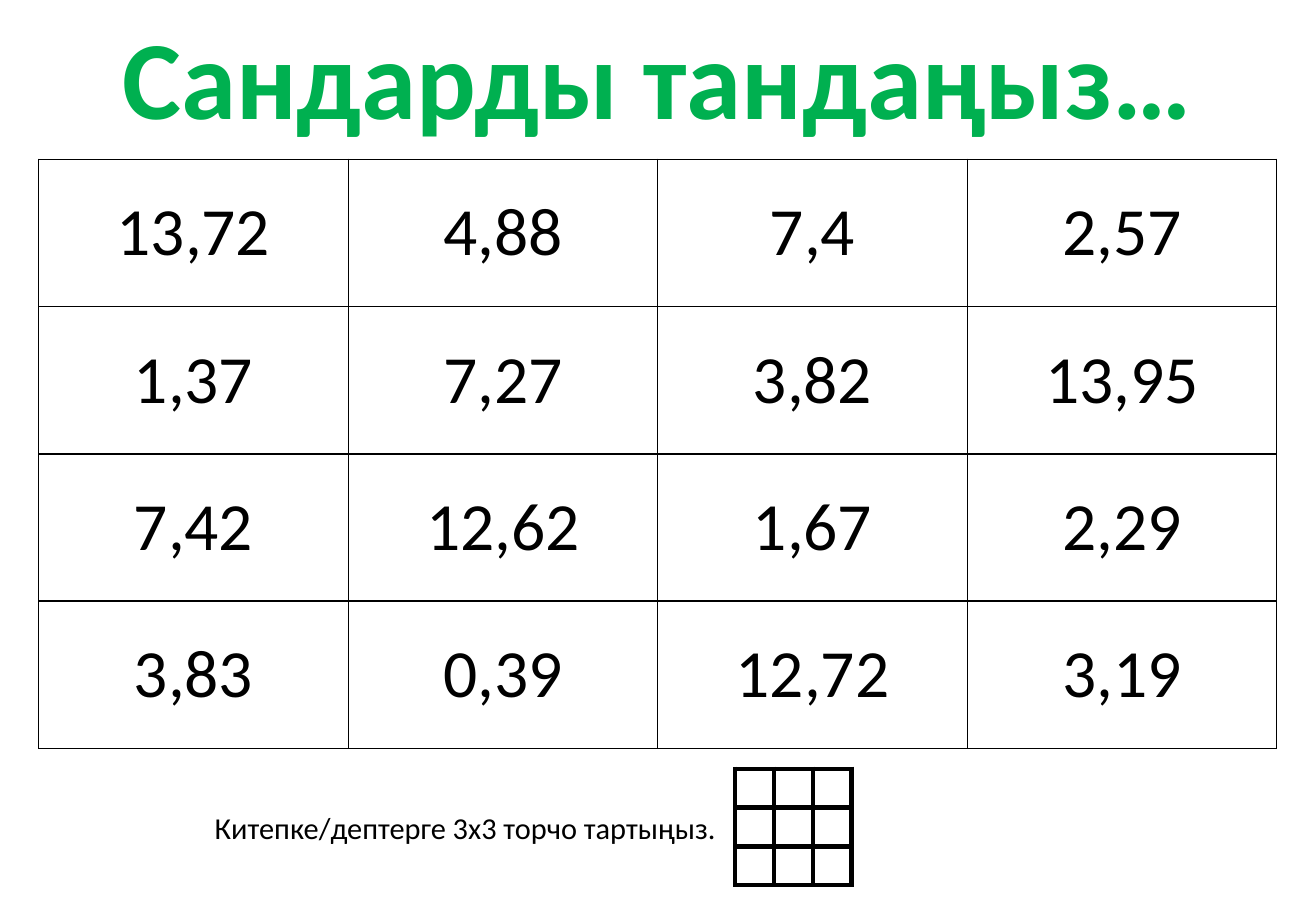
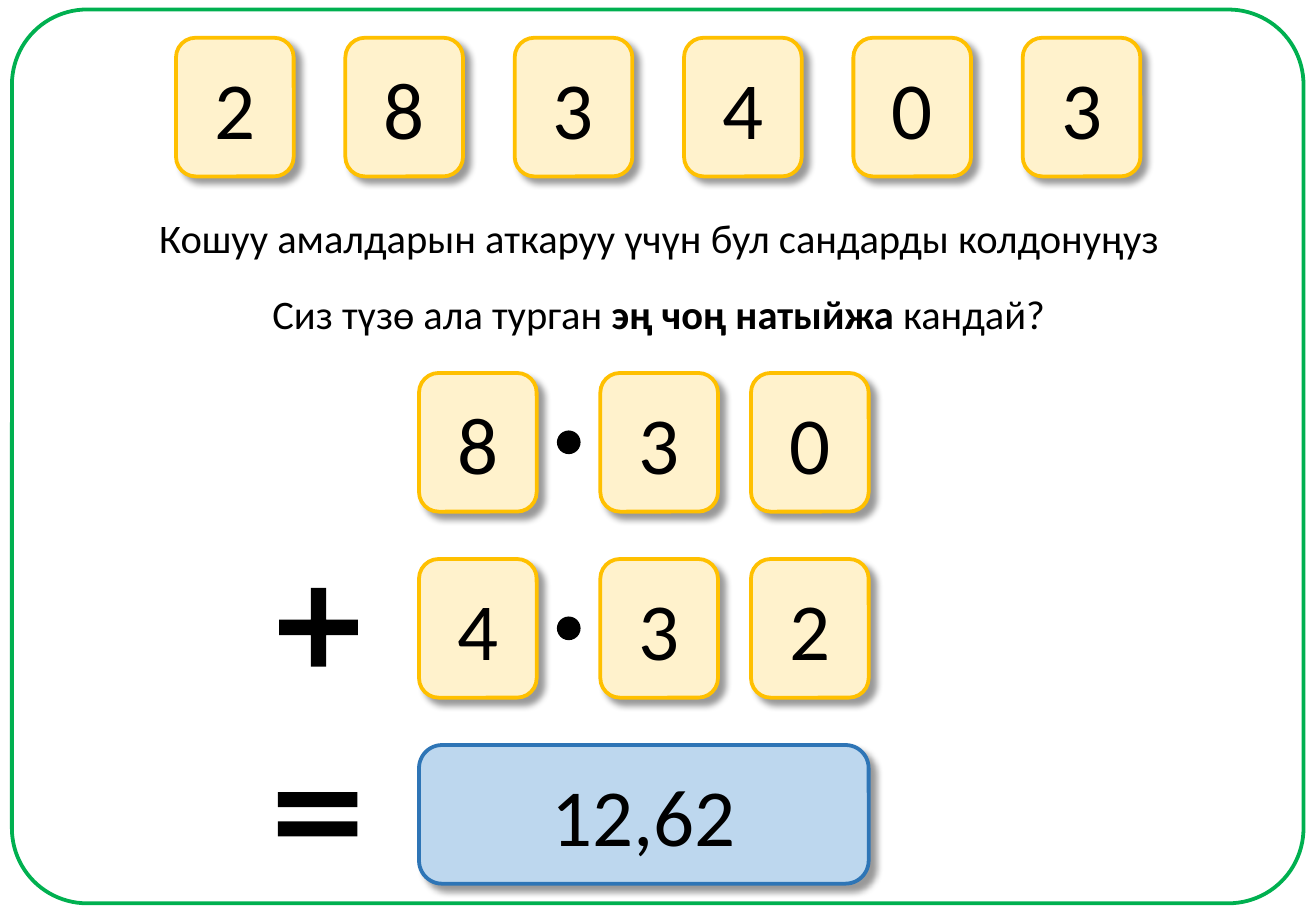
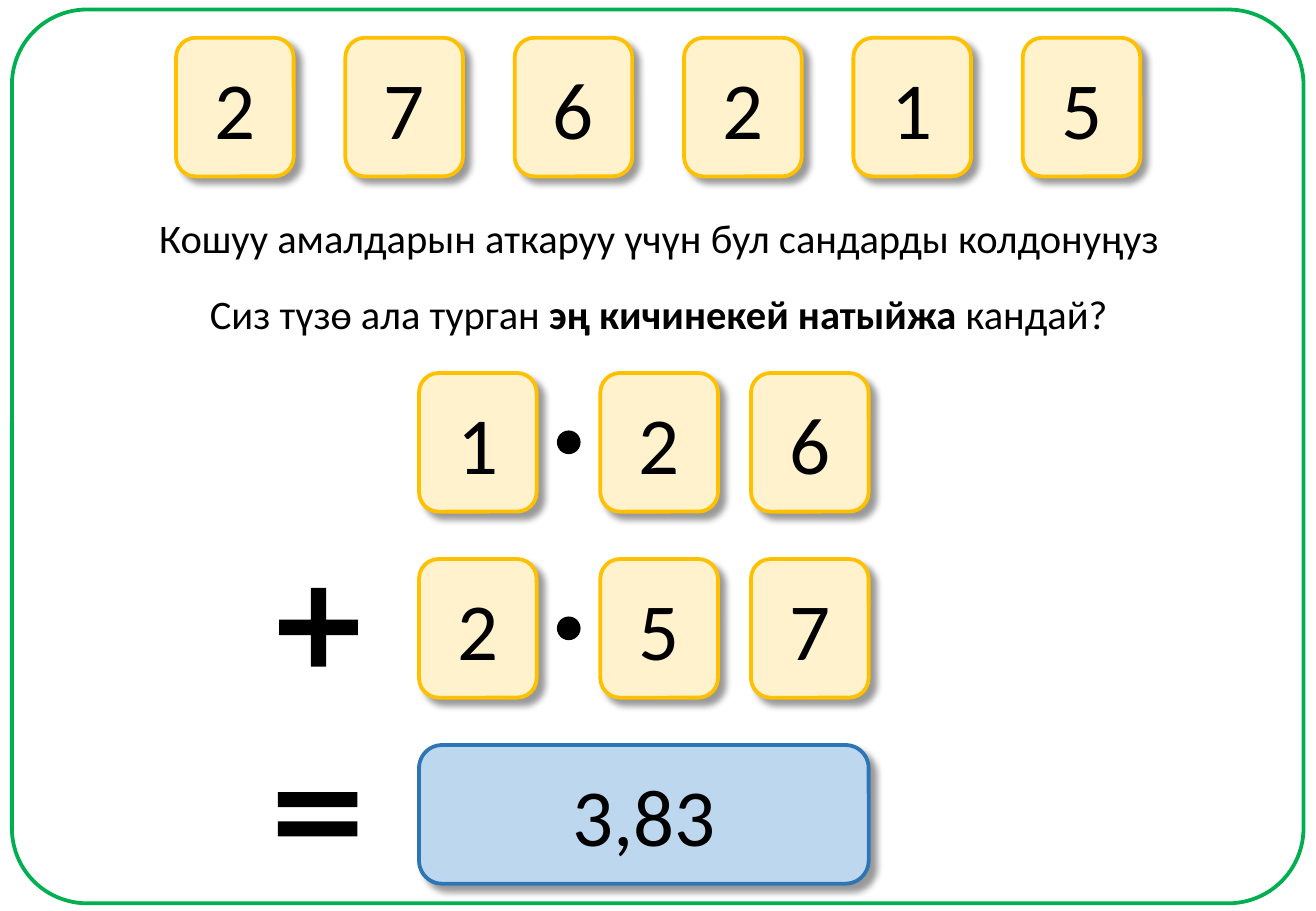
"""Three classroom slides: a number grid to choose from and two addition puzzles."""
from dataclasses import dataclass

from lxml.etree import SubElement
from pptx import Presentation
from pptx.dml.color import RGBColor
from pptx.enum.shapes import MSO_SHAPE
from pptx.enum.text import MSO_ANCHOR, MSO_AUTO_SIZE, PP_ALIGN
from pptx.oxml.ns import qn
from pptx.util import Cm, Pt

TITLE = "Сандарды тандаңыз…"
CAPTION = "Китепке/дептерге 3х3 торчо тартыңыз."
CHOICES = [
    ["13,72", "4,88", "7,4", "2,57"],
    ["1,37", "7,27", "3,82", "13,95"],
    ["7,42", "12,62", "1,67", "2,29"],
    ["3,83", "0,39", "12,72", "3,19"],
]
BLANK_GRID = [[""] * 3] * 3
INSTRUCTION = "Кошуу амалдарын аткаруу үчүн бул сандарды колдонуңуз"
QUESTION_START, QUESTION_END = "Сиз түзө ала турган ", "кандай?"
PUZZLES = [
    {"digits": "283403", "goal": "эң чоң натыйжа ", "addends": ["830", "432"], "total": "12,62"},
    {"digits": "276215", "goal": "эң кичинекей натыйжа ", "addends": ["126", "257"], "total": "3,83"},
]


@dataclass(frozen=True)
class Theme:
    font: str = "Calibri"
    black: str = "000000"
    white: str = "FFFFFF"
    green: str = "00B050"
    card: str = "FFF2CC"
    card_edge: str = "FFC000"
    total: str = "BDD7EE"
    total_edge: str = "2E75B6"
    edge: float = 2.25
    title: int = 66
    digit: int = 48
    choice: int = 40
    question: int = 24
    caption: int = 18


THEME = Theme()
CARD_W, CARD_H = 2.46, 2.9
DIGITS_LEFT, DIGITS_TOP, DIGITS_PITCH = 3.68, 0.79, 3.54
SUM_COLUMNS = [8.76, 12.55, 15.7]
SUM_TOP, SUM_PITCH = 7.8, 3.89
DOT_LEFT, DOT_SIZE = 11.66, 0.46
TOTAL_W = SUM_COLUMNS[-1] + CARD_W - SUM_COLUMNS[0]


def style(paragraph, size, color=THEME.black, bold=False, align=PP_ALIGN.CENTER):
    paragraph.alignment = align
    font = paragraph.font
    font.name, font.size, font.bold = THEME.font, Pt(size), bold
    font.color.rgb = RGBColor.from_string(color)


def solid_line(parent, tag, color, width):
    line = SubElement(parent, qn(tag), w=str(Pt(width)))
    SubElement(SubElement(line, qn("a:solidFill")), qn("a:srgbClr"), val=color)
    return line


def add_text(slide, box, parts, size, **look):
    label = slide.shapes.add_textbox(*map(Cm, box))
    frame = label.text_frame
    frame.word_wrap = False
    frame.auto_size = MSO_AUTO_SIZE.SHAPE_TO_FIT_TEXT
    paragraph = frame.paragraphs[0]
    for text, bold in parts:
        run = paragraph.add_run()
        run.text = text
        if bold:
            run.font.bold = True
    style(paragraph, size, **look)
    return paragraph


def add_grid(slide, left, top, column, row, rows, border):
    count = len(rows[0])
    table = slide.shapes.add_table(len(rows), count, Cm(left), Cm(top),
                                   Cm(column * count), Cm(row * len(rows))).table
    table.first_row = table.horz_banding = False
    for r, texts in enumerate(rows):
        for c, text in enumerate(texts):
            cell = table.cell(r, c)
            cell.margin_left = cell.margin_right = cell.margin_top = cell.margin_bottom = 0
            cell.vertical_anchor = MSO_ANCHOR.MIDDLE
            for side in "LRTB":
                solid_line(cell._tc.get_or_add_tcPr(), f"a:ln{side}", THEME.black, border)
            cell.fill.solid()
            cell.fill.fore_color.rgb = RGBColor.from_string(THEME.white)
            if text:
                cell.text = text
                style(cell.text_frame.paragraphs[0], THEME.choice)


def add_figure(slide, kind, box, fill=None, edge=None, width=THEME.edge, adjust=()):
    figure = slide.shapes.add_shape(kind, *map(Cm, box))
    figure.shadow.inherit = False
    for index, value in enumerate(adjust):
        figure.adjustments[index] = value
    if fill:
        figure.fill.solid()
        figure.fill.fore_color.rgb = RGBColor.from_string(fill)
    else:
        figure.fill.background()
    if edge:
        figure.line.color.rgb = RGBColor.from_string(edge)
        figure.line.width = Pt(width)
    else:
        figure.line.fill.background()
    return figure


def add_card(slide, left, top, text, width=CARD_W, fill=THEME.card, edge=THEME.card_edge):
    card = add_figure(slide, MSO_SHAPE.ROUNDED_RECTANGLE, (left, top, width, CARD_H), fill, edge)
    effects = card._element.spPr.find(qn("a:effectLst"))
    shadow = SubElement(effects, qn("a:outerShdw"), blurRad=str(Pt(4)), dist=str(Pt(5)),
                        dir=str(45 * 60000), algn="tl", rotWithShape="0")
    color = SubElement(shadow, qn("a:srgbClr"), val=THEME.black)
    SubElement(color, qn("a:alpha"), val="40000")
    frame = card.text_frame
    frame.vertical_anchor = MSO_ANCHOR.MIDDLE
    frame.text = text
    style(frame.paragraphs[0], THEME.digit)


def build_choices(slide):
    add_grid(slide, 0.81, 3.33, 6.47, 3.08, CHOICES, 1)
    title = add_text(slide, (2.01, 0.05, 23.47, 3.07), [(TITLE, True)], THEME.title,
                     color=THEME.green, bold=True)
    run = title.runs[0]
    solid_line(run._r.get_or_add_rPr(), "a:ln", THEME.black, 0.75)
    run.font.color.rgb = RGBColor.from_string(THEME.green)
    add_grid(slide, 15.37, 16.08, 0.81, 0.81, BLANK_GRID, 3)
    add_text(slide, (4.24, 16.79, 11.13, 1.02), [(CAPTION, False)], THEME.caption,
             align=PP_ALIGN.LEFT)


def build_puzzle(slide, puzzle):
    add_figure(slide, MSO_SHAPE.ROUNDED_RECTANGLE, (0.25, 0.2, 27, 18.69),
               edge=THEME.green, adjust=[0.084])
    question = [(QUESTION_START, False), (puzzle["goal"], True), (QUESTION_END, False)]
    add_text(slide, (2.97, 4.32, 21.62, 1.27), [(INSTRUCTION, False)], THEME.question)
    add_text(slide, (4.04, 5.92, 19.46, 1.27), question, THEME.question)
    for index, digit in enumerate(puzzle["digits"]):
        add_card(slide, DIGITS_LEFT + index * DIGITS_PITCH, DIGITS_TOP, digit)
    plus_row, total_row = SUM_TOP + SUM_PITCH, SUM_TOP + 2 * SUM_PITCH
    for top, addend in zip((SUM_TOP, plus_row), puzzle["addends"]):
        for left, digit in zip(SUM_COLUMNS, addend):
            add_card(slide, left, top, digit)
        dot_top = top + (CARD_H - DOT_SIZE) / 2
        add_figure(slide, MSO_SHAPE.OVAL, (DOT_LEFT, dot_top, DOT_SIZE, DOT_SIZE),
                   THEME.black, THEME.black, 1)
    add_figure(slide, MSO_SHAPE.MATH_PLUS, (5.54, plus_row + 0.31, 2.24, 2.24),
               THEME.black, adjust=[0.144])
    add_figure(slide, MSO_SHAPE.MATH_EQUAL, (5.51, total_row + 0.18, 2.26, 2.54),
               THEME.black, adjust=[0.123, 0.118])
    add_card(slide, SUM_COLUMNS[0], total_row, puzzle["total"], TOTAL_W,
             THEME.total, THEME.total_edge)


def main():
    deck = Presentation()
    deck.slide_width, deck.slide_height = Cm(27.51), Cm(19.05)
    blank = deck.slide_layouts[6]
    build_choices(deck.slides.add_slide(blank))
    for puzzle in PUZZLES:
        build_puzzle(deck.slides.add_slide(blank), puzzle)
    deck.save("out.pptx")


if __name__ == "__main__":
    main()
